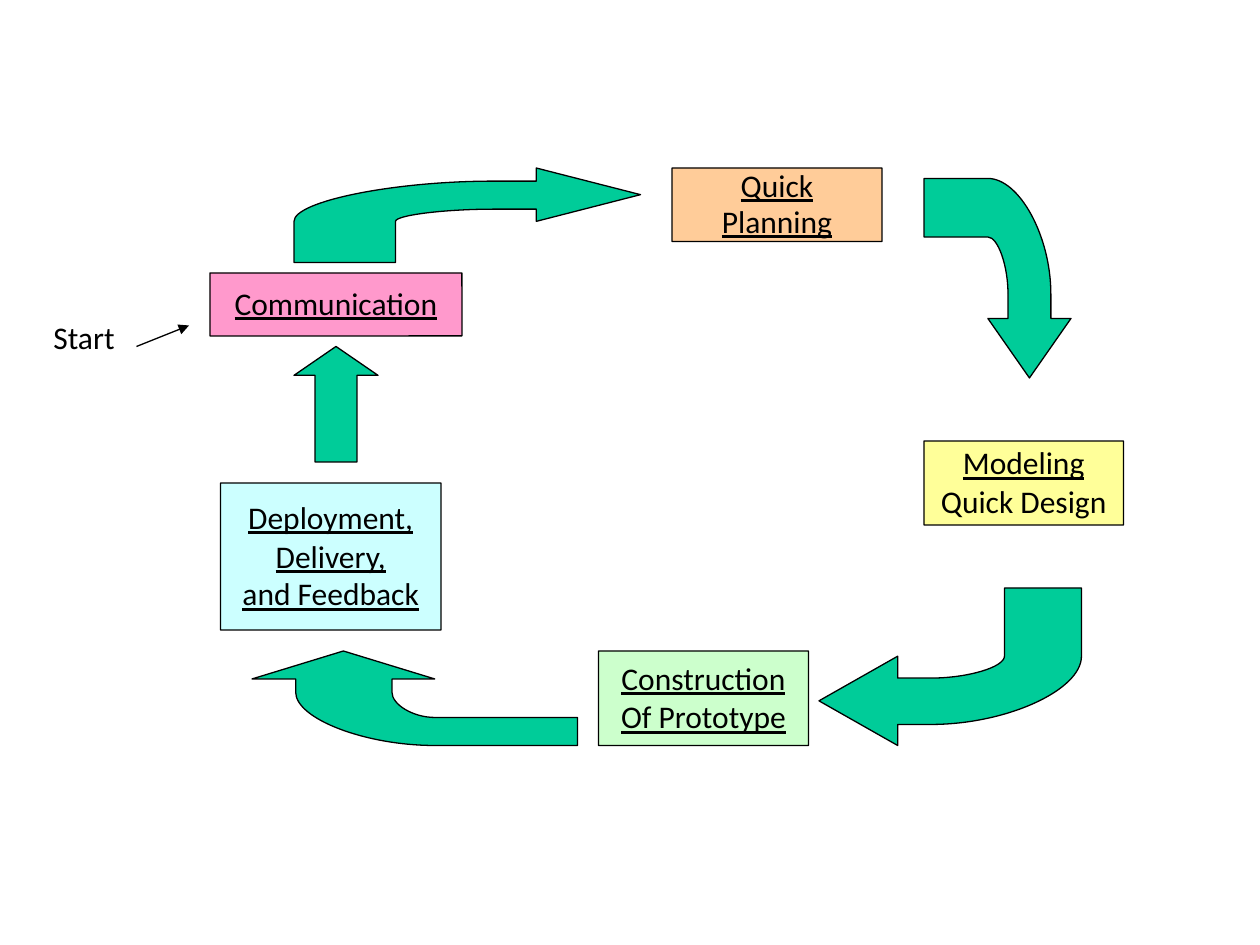
"""Build a slide showing the prototyping cycle as boxes joined by block arrows."""
from dataclasses import dataclass
from typing import Any

from lxml.etree import SubElement
from pptx import Presentation
from pptx.dml.color import RGBColor
from pptx.enum.shapes import MSO_CONNECTOR, MSO_SHAPE
from pptx.enum.text import MSO_ANCHOR, MSO_AUTO_SIZE, PP_ALIGN
from pptx.oxml.ns import qn
from pptx.util import Pt

Point = tuple[float, float]


@dataclass(frozen=True)
class Theme:
    ink: str = "000000"
    arrow: str = "00CC99"
    communication: str = "FF99CC"
    planning: str = "FFCC99"
    modeling: str = "FFFF99"
    deployment: str = "CCFFFF"
    construction: str = "CCFFCC"
    font: str = "Calibri"
    text_size: float = 18
    line_width: float = 0.75
    first_line_spacing: float = 0.95
    corner_radius: float = 0.12


THEME = Theme()


@dataclass(frozen=True)
class Line:
    text: str
    underline: bool = True


@dataclass(frozen=True)
class Box:
    left: float
    top: float
    width: float
    height: float
    fill: str | None
    lines: tuple[Line, ...]


@dataclass(frozen=True)
class BentArrow:
    """Pairs run from the outer to the inner side of the bend."""
    vertical_tail: bool
    tail: float
    bend_start: float
    tail_sides: Point
    bend_end: float
    shaft_sides: Point
    neck: float
    barbs: Point
    tip: float


STAGES = (
    Box(120, 156, 144, 36, THEME.communication, (Line("Communication"),)),
    Box(384, 96, 120, 42, THEME.planning, (Line("Quick Planning"),)),
    Box(528, 252, 114, 48, THEME.modeling,
        (Line("Modeling"), Line("Quick Design", False))),
    Box(126, 276, 126, 84, THEME.deployment,
        (Line("Deployment,"), Line("Delivery,"), Line("and Feedback"))),
    Box(342, 372, 120, 54, THEME.construction,
        (Line("Construction"), Line("Of Prototype"))),
)
START = Box(18, 180, 60, 36, None, (Line("Start", False),))

BENT_ARROWS = (
    BentArrow(True, 150, 126.5, (168, 226), 282, (103.5, 119.5), 306.5, (96, 126.5), 366),
    BentArrow(False, 528, 564.5, (102, 135.5), 168, (600.5, 576), 182, (612, 564.5), 216),
    BentArrow(True, 336, 375, (618, 574), 532, (414, 387.5), 513, (426, 375), 468),
    BentArrow(False, 330, 248.5, (426, 410), 395.5, (169, 224), 388, (144, 248.5), 372),
)


def style_shape(shape: Any, fill: str) -> None:
    """Give a shape a solid fill and a thin outline."""
    shape.shadow.inherit = False
    shape.fill.solid()
    shape.fill.fore_color.rgb = RGBColor.from_string(fill)
    shape.line.color.rgb = RGBColor.from_string(THEME.ink)
    shape.line.width = Pt(THEME.line_width)


def write_lines(text_frame: Any, lines: tuple[Line, ...]) -> None:
    """Write centred lines, one paragraph and run each."""
    for index, line in enumerate(lines):
        paragraph = text_frame.add_paragraph() if index else text_frame.paragraphs[0]
        paragraph.alignment = PP_ALIGN.CENTER
        paragraph.line_spacing = 1.0 if index else THEME.first_line_spacing
        run = paragraph.add_run()
        run.text = line.text
        run.font.name = THEME.font
        run.font.size = Pt(THEME.text_size)
        run.font.underline = line.underline
        run.font.color.rgb = RGBColor.from_string(THEME.ink)


def add_box(slide: Any, box: Box) -> Any:
    """Draw one box with its lines of text."""
    shape = slide.shapes.add_shape(
        MSO_SHAPE.ROUNDED_RECTANGLE,
        Pt(box.left), Pt(box.top), Pt(box.width), Pt(box.height))
    shape.adjustments[0] = THEME.corner_radius / min(box.width, box.height)
    if box.fill:
        style_shape(shape, box.fill)
    else:
        shape.shadow.inherit = False
        shape.fill.background()
        shape.line.fill.background()
    shape.text_frame.word_wrap = True
    shape.text_frame.vertical_anchor = MSO_ANCHOR.MIDDLE
    write_lines(shape.text_frame, box.lines)
    return shape


def curve_segment(shape: Any, segment: Any, start: Point, corner: Point, end: Point) -> None:
    """Turn a line segment into a curve with handles halfway to the corner."""
    segment.tag = qn("a:cubicBezTo")
    segment.clear()
    handles = [((x + corner[0]) / 2, (y + corner[1]) / 2) for x, y in (start, end)]
    for x, y in (*handles, end):
        SubElement(segment, qn("a:pt"),
                   x=str(Pt(x) - shape.left), y=str(Pt(y) - shape.top))


def add_bent_arrow(slide: Any, arrow: BentArrow) -> None:
    """Draw a block arrow that turns through a right angle."""
    outer_tail, inner_tail = arrow.tail_sides
    outer_shaft, inner_shaft = arrow.shaft_sides
    outer_barb, inner_barb = arrow.barbs
    outline = [
        (outer_tail, arrow.tail),
        (outer_tail, arrow.bend_start),
        (arrow.bend_end, outer_shaft),
        (arrow.neck, outer_shaft),
        (arrow.neck, outer_barb),
        (arrow.tip, (outer_barb + inner_barb) / 2),
        (arrow.neck, inner_barb),
        (arrow.neck, inner_shaft),
        (arrow.bend_end, inner_shaft),
        (inner_tail, arrow.bend_start),
        (inner_tail, arrow.tail),
    ]
    corners = {2: (outer_tail, outer_shaft), 9: (inner_tail, inner_shaft)}
    if not arrow.vertical_tail:
        outline = [(x, y) for y, x in outline]
        corners = {index: (x, y) for index, (y, x) in corners.items()}
    vertices = [(Pt(x), Pt(y)) for x, y in outline]
    builder = slide.shapes.build_freeform(*vertices[0])
    builder.add_line_segments(vertices[1:], close=True)
    shape = builder.convert_to_shape()
    segments = list(shape._element.iter(qn("a:lnTo")))
    for index, corner in corners.items():
        curve_segment(shape, segments[index - 1], outline[index - 1], corner, outline[index])
    style_shape(shape, THEME.arrow)


def add_up_arrow(slide: Any) -> None:
    """Draw the straight arrow back to communication."""
    outline = [(180, 264), (180, 214.5), (168, 214.5), (192, 198),
               (216, 214.5), (204, 214.5), (204, 264)]
    vertices = [(Pt(x), Pt(y)) for x, y in outline]
    builder = slide.shapes.build_freeform(*vertices[0])
    builder.add_line_segments(vertices[1:], close=True)
    style_shape(builder.convert_to_shape(), THEME.arrow)


def add_start(slide: Any) -> None:
    """Draw the start label and its pointer."""
    text_frame = add_box(slide, START).text_frame
    text_frame.word_wrap = False
    text_frame.vertical_anchor = MSO_ANCHOR.TOP
    text_frame.auto_size = MSO_AUTO_SIZE.SHAPE_TO_FIT_TEXT
    pointer = slide.shapes.add_connector(
        MSO_CONNECTOR.STRAIGHT, Pt(78), Pt(198), Pt(108), Pt(186))
    pointer.line.color.rgb = RGBColor.from_string(THEME.ink)
    pointer.line.width = Pt(THEME.line_width)
    SubElement(pointer.line._get_or_add_ln(), qn("a:tailEnd"), type="triangle")
    SubElement(pointer._element.spPr, qn("a:effectLst"))


def main() -> None:
    """Build and save the slide."""
    presentation = Presentation()
    presentation.slide_width, presentation.slide_height = Pt(720), Pt(540)
    slide = presentation.slides.add_slide(presentation.slide_layouts[6])
    for stage in STAGES:
        add_box(slide, stage)
    for arrow in BENT_ARROWS:
        add_bent_arrow(slide, arrow)
    add_up_arrow(slide)
    add_start(slide)
    presentation.save("out.pptx")


if __name__ == "__main__":
    main()
